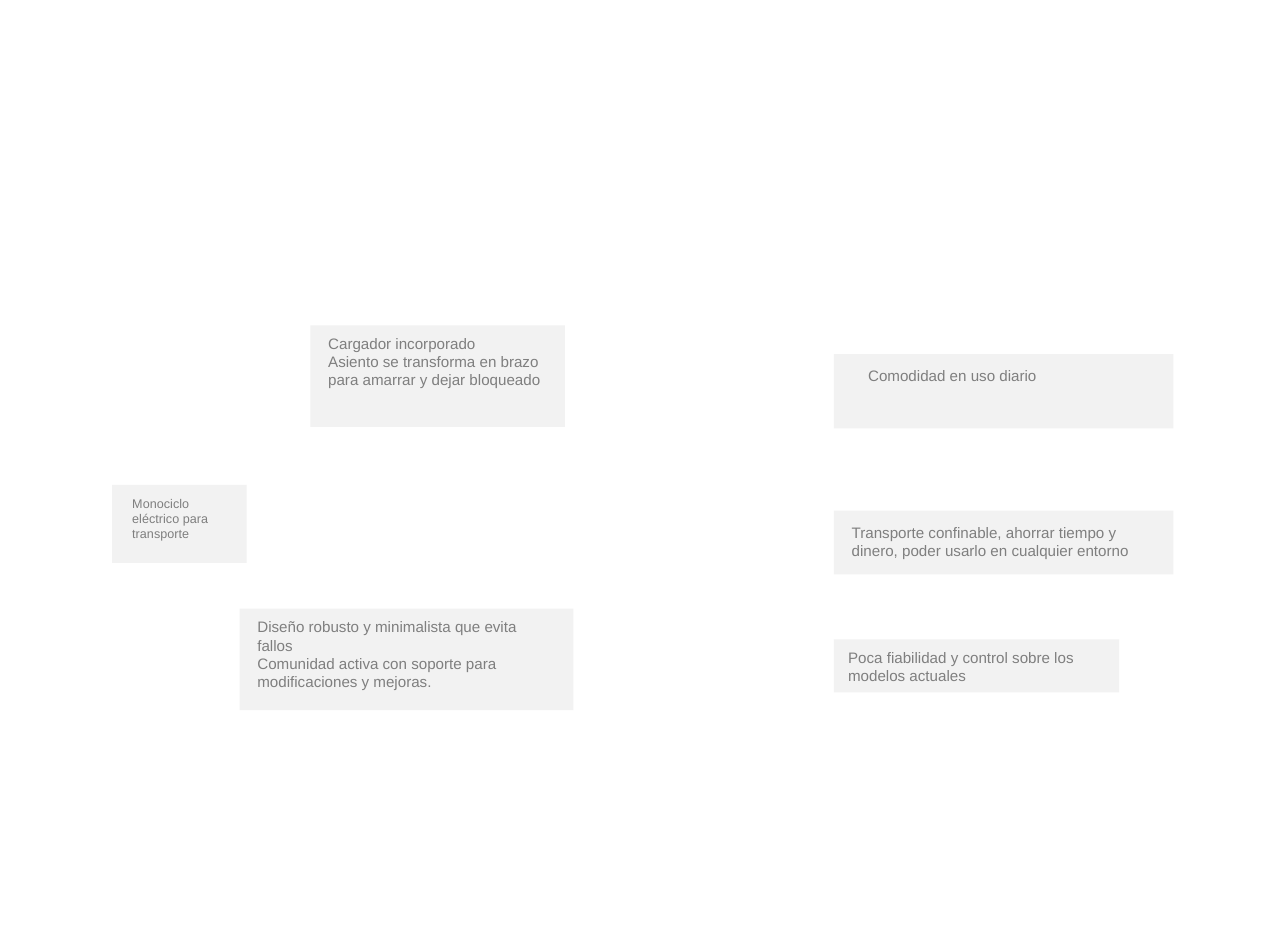
from pptx import Presentation
from pptx import util as u
from pptx.dml.color import RGBColor
from pptx.enum import shapes, text

COLORS = {"card": "F2F2F2", "text": "7F7F7F"}
FONT = "Arial"
RIGHT_COLUMN = 11.66

NOTES = [
    {"lines": ["Cargador incorporado",
               "Asiento se transforma en brazo para amarrar y dejar bloqueado"],
     "card": (4.34, 4.55, 3.56, 1.42), "offset": (0, 0), "text_size": (3.56, 1.24)},
    {"lines": ["Diseño robusto y minimalista que evita fallos",
               "Comunidad activa con soporte para modificaciones y mejoras."],
     "card": (3.35, 8.51, 4.67, 1.42), "offset": (0, 0), "text_size": (4.67, 1.5)},
    {"lines": ["Monociclo eléctrico para transporte"], "size": 5,
     "card": (1.57, 6.78, 1.88, 1.09), "offset": (0.03, 0.03), "text_size": (1.85, 0.89)},
    {"lines": ["Comodidad en uso diario"],
     "card": (RIGHT_COLUMN, 4.95, 4.75, 1.04), "offset": (0.23, 0.05), "text_size": (4.39, 0.51)},
    {"lines": ["Transporte confinable, ahorrar tiempo y dinero, poder usarlo en cualquier entorno"],
     "card": (RIGHT_COLUMN, 7.14, 4.75, 0.89), "offset": (0, 0.05), "text_size": (4.62, 0.76)},
    {"lines": ["Poca fiabilidad y control sobre los modelos actuales"],
     "card": (RIGHT_COLUMN, 8.94, 3.99, 0.74), "offset": (-0.05, 0), "text_size": (3.99, 0.76)},
]


def add_card(slide, box):
    shape = slide.shapes.add_shape(shapes.MSO_SHAPE.RECTANGLE, *map(u.Cm, box))
    shape.shadow.inherit = False
    shape.fill.solid()
    shape.fill.fore_color.rgb = RGBColor.from_string(COLORS["card"])
    shape.line.fill.background()


def add_text(slide, lines, box, size=6, color="text", font=FONT):
    frame = slide.shapes.add_textbox(*map(u.Cm, box)).text_frame
    frame.word_wrap = True
    frame.auto_size = text.MSO_AUTO_SIZE.SHAPE_TO_FIT_TEXT
    frame.text = "\n".join(lines)
    for paragraph in frame.paragraphs:
        for run in paragraph.runs:
            run.font.name = font
            run.font.size = u.Pt(size)
            run.font.color.rgb = RGBColor.from_string(COLORS[color])


def main():
    presentation = Presentation()
    presentation.slide_width = u.Cm(18.01)
    presentation.slide_height = u.Cm(13)
    slide = presentation.slides.add_slide(presentation.slide_layouts[6])
    for note in NOTES:
        left, top = note["card"][:2]
        shift_x, shift_y = note["offset"]
        add_card(slide, note["card"])
        add_text(slide, note["lines"], (left + shift_x, top + shift_y, *note["text_size"]),
                 size=note.get("size", 6))
    presentation.save("out.pptx")


if __name__ == "__main__":
    main()
